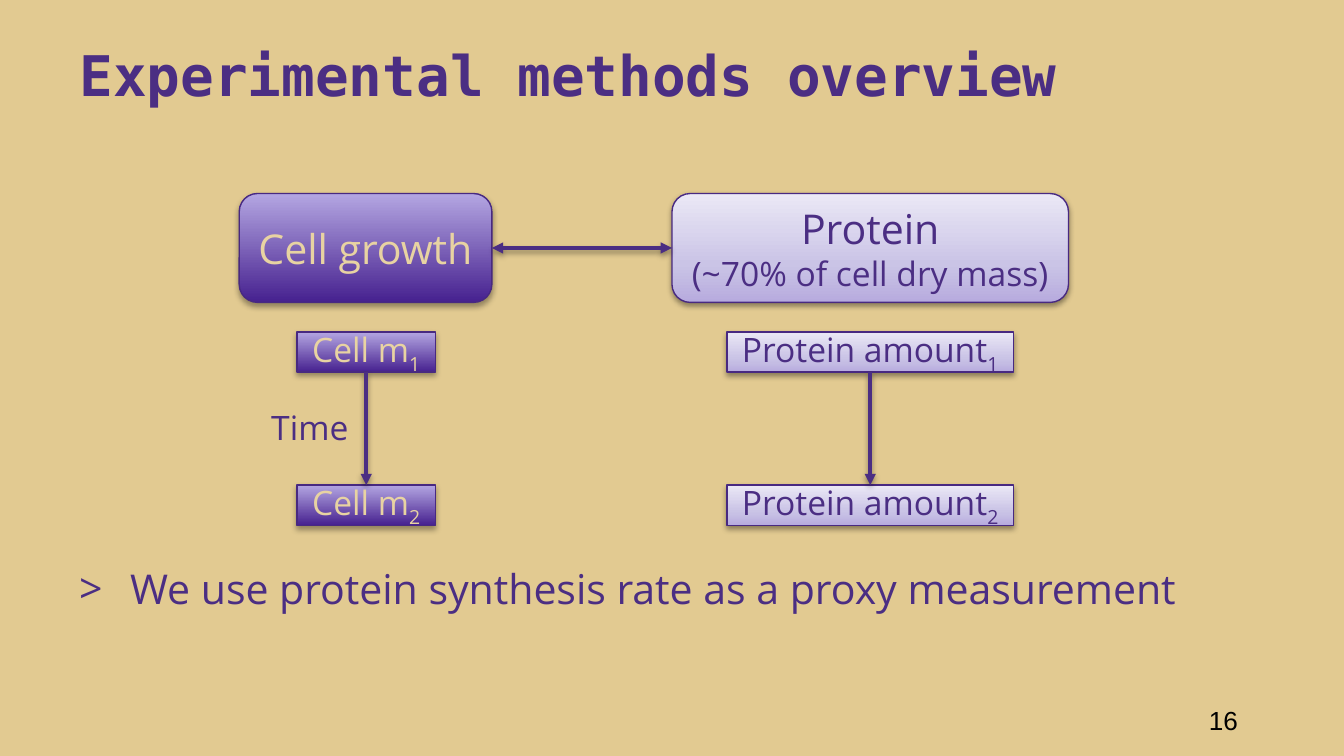
from dataclasses import dataclass

from lxml.etree import SubElement
from pptx import Presentation
from pptx.dml.color import RGBColor
from pptx.enum.shapes import MSO_CONNECTOR, MSO_SHAPE
from pptx.enum.text import MSO_ANCHOR, MSO_AUTO_SIZE, PP_ALIGN
from pptx.oxml.ns import qn
from pptx.shapes.autoshape import Shape
from pptx.slide import Slide
from pptx.text.text import _Paragraph as Paragraph
from pptx.util import Inches, Pt

SAND = RGBColor(0xE2, 0xCA, 0x91)
GOLD = RGBColor(0xE8, 0xD3, 0xA2)
PURPLE = RGBColor(0x4B, 0x2E, 0x83)
OUTLINE = RGBColor(0x48, 0x29, 0x81)
BLACK = RGBColor(0, 0, 0)
DARK_START = RGBColor(0x46, 0x21, 0x8F)
DARK_END = RGBColor(0xB4, 0xA6, 0xE2)
LIGHT_START = RGBColor(0xB7, 0xAB, 0xDE)
LIGHT_MIDDLE = RGBColor(0xCA, 0xC4, 0xE6)
LIGHT_END = RGBColor(0xEB, 0xE8, 0xF6)

BODY_FONT = "Open Sans"
TITLE_FONT = "DejaVu Sans Mono"
NUMBER_FONT = "Arial"
TOP, LEFT, BOTTOM, RIGHT = range(4)


@dataclass(frozen=True)
class Style:
    stops: tuple[tuple[int, RGBColor], ...]
    text_color: RGBColor
    shadow_opacity: int
    shadow_distance: float


@dataclass(frozen=True)
class Line:
    text: str
    size: int
    subscript: str = ""


@dataclass(frozen=True)
class Node:
    box: tuple[float, float, float, float]
    lines: tuple[Line, ...]
    style: Style
    preset: MSO_SHAPE = MSO_SHAPE.RECTANGLE


@dataclass(frozen=True)
class Column:
    heading: Node
    left: float
    width: float
    quantity: str


DARK = Style(((0, DARK_START), (100, DARK_END)), GOLD, 35, 1.8)
LIGHT = Style(((0, LIGHT_START), (35, LIGHT_MIDDLE), (100, LIGHT_END)), PURPLE, 38, 1.6)

ROUNDED = MSO_SHAPE.ROUNDED_RECTANGLE
COLUMNS = (
    Column(Node((1.78, 1.44, 1.88, 0.81), (Line("Cell growth", 22),), DARK, ROUNDED),
           2.21, 1.03, "Cell m"),
    Column(Node((5, 1.44, 2.95, 0.81),
                (Line("Protein", 22), Line("(~70% of cell dry mass)", 18)), LIGHT, ROUNDED),
           5.41, 2.13, "Protein amount"),
)
STEP_TOPS = (2.47, 3.61)
STEP_HEIGHT = 0.3


def set_font(paragraph: Paragraph, name: str, size: int, color: RGBColor) -> None:
    paragraph.font.name = name
    paragraph.font.size = Pt(size)
    paragraph.font.color.rgb = color


def add_shadow(effects, opacity: int, distance: float) -> None:
    shadow = SubElement(effects, qn("a:outerShdw"), blurRad=str(Pt(3.1)),
                        dist=str(Pt(distance)), dir="5400000", rotWithShape="0")
    color = SubElement(shadow, qn("a:srgbClr"), val=str(BLACK))
    SubElement(color, qn("a:alpha"), val=str(opacity * 1000))


def fill_gradient(shape: Shape, stops: tuple[tuple[int, RGBColor], ...]) -> None:
    """Fill from bottom to top with any number of (percent, colour) stops."""
    shape.fill.gradient()
    shape.fill.gradient_angle = 90
    stop_list = shape._element.spPr.find(qn("a:gradFill")).find(qn("a:gsLst"))
    for old_stop in list(stop_list):
        stop_list.remove(old_stop)
    for percent, color in stops:
        stop = SubElement(stop_list, qn("a:gs"), pos=str(percent * 1000))
        SubElement(stop, qn("a:srgbClr"), val=str(color))


def add_node(slide: Slide, node: Node) -> Shape:
    shape = slide.shapes.add_shape(node.preset, *map(Inches, node.box))
    fill_gradient(shape, node.style.stops)
    shape.line.color.rgb = OUTLINE
    shape.line.width = Pt(0.75)
    shape.shadow.inherit = False
    add_shadow(shape._element.spPr.find(qn("a:effectLst")),
               node.style.shadow_opacity, node.style.shadow_distance)

    frame = shape.text_frame
    frame.word_wrap = False
    frame.vertical_anchor = MSO_ANCHOR.MIDDLE
    for index, line in enumerate(node.lines):
        paragraph = frame.add_paragraph() if index else frame.paragraphs[0]
        paragraph.alignment = PP_ALIGN.CENTER
        paragraph.add_run().text = line.text
        if line.subscript:
            subscript = paragraph.add_run()
            subscript.text = line.subscript
            subscript._r.get_or_add_rPr().set("baseline", "-25000")
        set_font(paragraph, BODY_FONT, line.size, node.style.text_color)
    return shape


def add_arrow(slide: Slide, start: Shape, start_side: int, end: Shape, end_side: int,
              ends: tuple[str, ...] = ("a:tailEnd",)) -> None:
    arrow = slide.shapes.add_connector(MSO_CONNECTOR.STRAIGHT, 0, 0, 0, 0)
    arrow.begin_connect(start, start_side)
    arrow.end_connect(end, end_side)
    arrow.line.color.rgb = PURPLE
    arrow.line.width = Pt(2)
    for tag in ends:
        SubElement(arrow.line._get_or_add_ln(), qn(tag), type="triangle")
    effects = SubElement(arrow._element.spPr, qn("a:effectLst"))
    add_shadow(effects, LIGHT.shadow_opacity, LIGHT.shadow_distance)


def add_text(slide: Slide, box: tuple[float, float, float, float], text: str,
             size: int, font: str = BODY_FONT, color: RGBColor = PURPLE,
             bullet: str = "") -> Shape:
    text_box = slide.shapes.add_textbox(*map(Inches, box))
    text_box.text_frame.word_wrap = True
    paragraph = text_box.text_frame.paragraphs[0]
    paragraph.text = text
    if bullet:
        properties = paragraph._p.get_or_add_pPr()
        indent = Inches(0.38)
        properties.set("marL", str(indent))
        properties.set("indent", str(-indent))
        bullet_color = SubElement(properties, qn("a:buClr"))
        SubElement(bullet_color, qn("a:srgbClr"), val=str(color))
        SubElement(properties, qn("a:buFont"), typeface=font)
        SubElement(properties, qn("a:buChar"), char=bullet)
    set_font(paragraph, font, size, color)
    return text_box


def add_title(slide: Slide, text: str) -> None:
    title = slide.shapes.title
    title.left, title.top, title.width, title.height = map(Inches, (0.49, 0.4, 8.96, 0.45))
    frame = title.text_frame
    frame.text = text
    frame.auto_size = MSO_AUTO_SIZE.NONE
    frame.vertical_anchor = MSO_ANCHOR.BOTTOM
    paragraph = frame.paragraphs[0]
    paragraph.alignment = PP_ALIGN.LEFT
    set_font(paragraph, TITLE_FONT, 30, PURPLE)
    paragraph.font.bold = True


def main() -> None:
    presentation = Presentation()
    presentation.slide_width = Inches(10)
    presentation.slide_height = presentation.slide_width * 9 // 16
    slide = presentation.slides.add_slide(presentation.slide_layouts[5])
    slide.background.fill.solid()
    slide.background.fill.fore_color.rgb = SAND

    add_title(slide, "Experimental methods overview")
    add_text(slide, (0.49, 4.14, 8.96, 1.38),
             "We use protein synthesis rate as a proxy measurement", 22, bullet=">")
    page_number = add_text(slide, (7.06, 5.21, 2.25, 0.3), "16", 14, NUMBER_FONT, BLACK)
    page_number.text_frame.vertical_anchor = MSO_ANCHOR.MIDDLE
    page_number.text_frame.paragraphs[0].alignment = PP_ALIGN.RIGHT

    headings = []
    for column in COLUMNS:
        headings.append(add_node(slide, column.heading))
        before, after = (
            add_node(slide, Node((column.left, top, column.width, STEP_HEIGHT),
                                 (Line(column.quantity, 18, str(number)),),
                                 column.heading.style))
            for number, top in enumerate(STEP_TOPS, 1)
        )
        add_arrow(slide, before, BOTTOM, after, TOP)
    add_arrow(slide, headings[0], RIGHT, headings[1], LEFT, ("a:headEnd", "a:tailEnd"))
    add_text(slide, (1.92, 2.98, 0.8, 0.4), "Time", 18).text_frame.word_wrap = False

    presentation.save("out.pptx")


if __name__ == "__main__":
    main()
